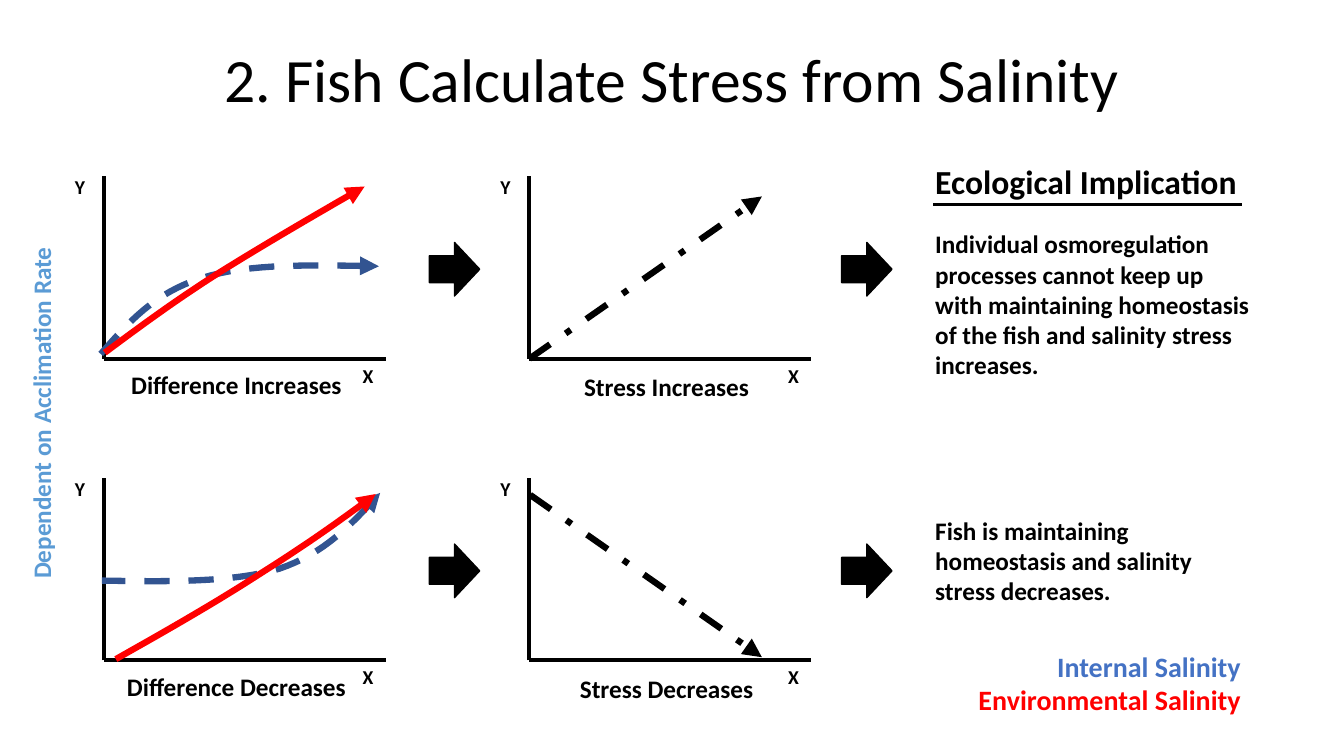
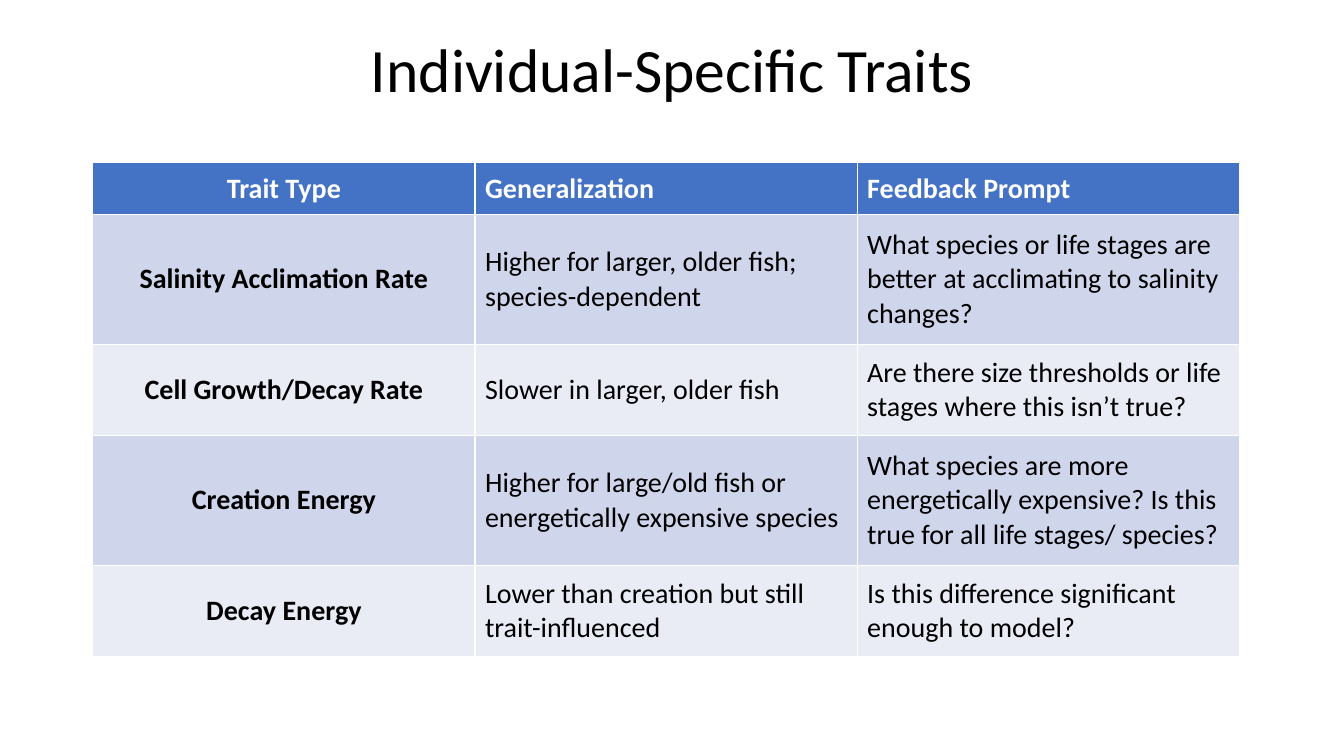
from lxml import etree
from pptx import Presentation
from pptx.dml.color import RGBColor
from pptx.enum.dml import MSO_LINE
from pptx.enum.shapes import MSO_CONNECTOR, MSO_SHAPE
from pptx.enum.text import MSO_ANCHOR, PP_ALIGN
from pptx.oxml.ns import qn
from pptx.util import Cm, Pt

BLACK = RGBColor(0x00, 0x00, 0x00)
WHITE = RGBColor(0xFF, 0xFF, 0xFF)
BLUE = RGBColor(0x44, 0x72, 0xC4)
DARK_BLUE = RGBColor(0x32, 0x54, 0x91)
LIGHT_BLUE = RGBColor(0x5B, 0x9B, 0xD5)
RED = RGBColor(0xFF, 0x00, 0x00)
BAND_DARK = RGBColor(0xCF, 0xD5, 0xEA)
BAND_LIGHT = RGBColor(0xE9, 0xEB, 0xF5)

LEFT, CENTER, RIGHT = PP_ALIGN.LEFT, PP_ALIGN.CENTER, PP_ALIGN.RIGHT
MIDDLE = MSO_ANCHOR.MIDDLE
DASH, DASH_DOT = MSO_LINE.DASH, MSO_LINE.DASH_DOT
STRAIGHT = MSO_CONNECTOR.STRAIGHT
RIGHT_ARROW = MSO_SHAPE.RIGHT_ARROW

FONT = "Calibri"
TITLE_ONLY = 5
CURVE_STEPS = 16
COLUMN_X = (2.62, 13.34)
BASELINE_Y = (9.04, 16.64)
CAPTION_X = (0.46, 11.3)
CAPTION_GAP = (0.15, 0.2)
CAPTIONS = (
    ("Difference Increases", "Stress Increases"),
    ("Difference Decreases", "Stress Decreases"),
)
CURVES = (
    (DARK_BLUE, DASH, "a:tailEnd", (
        (2.54, 8.92), (3.23, 8.13), (3.91, 7.37), (5.08, 7.01),
        (6.25, 6.63), (7.9, 6.68), (9.55, 6.71))),
    (RED, None, "a:tailEnd", (
        (2.64, 8.89), (3.53, 8.23), (4.42, 7.57), (5.51, 6.88),
        (6.6, 6.2), (7.9, 5.44), (9.19, 4.7))),
    (DARK_BLUE, DASH, "a:headEnd", (
        (9.58, 12.42), (8.89, 13.18), (8.2, 13.94), (7.04, 14.33),
        (5.87, 14.68), (4.22, 14.66), (2.57, 14.63))),
    (RED, None, "a:headEnd", (
        (9.47, 12.45), (8.59, 13.11), (7.7, 13.74), (6.6, 14.43),
        (5.51, 15.14), (4.22, 15.88), (2.92, 16.61))),
)
TRAITS = (
    ("Trait Type", "Generalization", "Feedback Prompt"),
    ("Salinity Acclimation Rate",
     "Higher for larger, older fish; species-dependent",
     "What species or life stages are better at acclimating to salinity changes?"),
    ("Cell Growth/Decay Rate",
     "Slower in larger, older fish",
     "Are there size thresholds or life stages where this isn’t true?"),
    ("Creation Energy",
     "Higher for large/old fish or energetically expensive species",
     "What species are more energetically expensive? Is this true for all life stages/ species?"),
    ("Decay Energy",
     "Lower than creation but still trait-influenced",
     "Is this difference significant enough to model?"),
)
ROW_HEIGHTS = (1.3, 3.28, 2.29, 3.28, 2.29)
COLUMN_WIDTH = 9.63


def format_paragraph(p, size, color=BLACK, bold=True, align=LEFT):
    p.alignment = align
    for r in p.runs:
        r.font.name = FONT
        r.font.size = Pt(size)
        r.font.bold = bold
        r.font.color.rgb = color


def add_titled_slide(prs, title, top):
    s = prs.slides.add_slide(prs.slide_layouts[TITLE_ONLY])
    sp = s.shapes.title
    sp.left, sp.top, sp.width, sp.height = Cm(2.34), Cm(top), Cm(29.21), Cm(3.68)
    tf = sp.text_frame
    tf.text = title
    tf.vertical_anchor = MIDDLE
    tf.paragraphs[0].line_spacing = 0.9
    format_paragraph(tf.paragraphs[0], 44, bold=False, align=CENTER)
    return s


def add_text(s, text, x, y, w, h, size=18, colors=(BLACK,), align=LEFT):
    sp = s.shapes.add_textbox(Cm(x), Cm(y), Cm(w), Cm(h))
    tf = sp.text_frame
    tf.text = text
    tf.word_wrap = True
    for p, color in zip(tf.paragraphs, colors):
        format_paragraph(p, size, color, align=align)
    return sp


def style_line(line, color, width, dash=None, arrow_end=None):
    line.color.rgb = color
    line.width = Pt(width)
    if dash is not None:
        line.dash_style = dash
    if arrow_end:
        etree.SubElement(line._get_or_add_ln(), qn(arrow_end), type="triangle")


def add_line(s, x1, y1, x2, y2, width, dash=None, arrow_end=None):
    cxn = s.shapes.add_connector(STRAIGHT, Cm(x1), Cm(y1), Cm(x2), Cm(y2))
    style_line(cxn.line, BLACK, width, dash, arrow_end)
    etree.SubElement(cxn._element.spPr, qn("a:effectLst"))


def bezier_point(controls, t):
    weights = ((1 - t) ** 3, 3 * t * (1 - t) ** 2, 3 * t ** 2 * (1 - t), t ** 3)
    return tuple(
        Cm(sum(w * c[axis] for w, c in zip(weights, controls))) for axis in (0, 1)
    )


def add_curve(s, color, dash, arrow_end, controls):
    points = [
        bezier_point(controls[start:start + 4], step / CURVE_STEPS)
        for start in range(0, len(controls) - 1, 3)
        for step in range(1, CURVE_STEPS + 1)
    ]
    x, y = controls[0]
    builder = s.shapes.build_freeform(Cm(x), Cm(y))
    builder.add_line_segments(points, close=False)
    sp = builder.convert_to_shape()
    sp.fill.background()
    sp.shadow.inherit = False
    style_line(sp.line, color, 4.5, dash, arrow_end)


def add_axes(s, x, base):
    add_line(s, x, base, x, base - 4.6, 3)
    add_line(s, x, base, x + 7.11, base, 3)
    add_text(s, "X", x + 6.27, base, 1.65, 1.14, 14)
    add_text(s, "Y", x - 0.98, base - 4.75, 1.65, 1.14, 14)


def add_block_arrow(s, x, y):
    sp = s.shapes.add_shape(RIGHT_ARROW, Cm(x), Cm(y), Cm(1.27), Cm(1.35))
    sp.fill.solid()
    sp.fill.fore_color.rgb = BLACK
    sp.shadow.inherit = False
    style_line(sp.line, BLACK, 1)


def add_trait_table(s):
    table = s.shapes.add_table(
        len(TRAITS), len(TRAITS[0]), Cm(2.34), Cm(4.1),
        Cm(COLUMN_WIDTH * len(TRAITS[0])), Cm(sum(ROW_HEIGHTS)),
    ).table
    for column in table.columns:
        column.width = Cm(COLUMN_WIDTH)
    for i, (row, height) in enumerate(zip(TRAITS, ROW_HEIGHTS)):
        table.rows[i].height = Cm(height)
        header = i == 0
        fill = BLUE if header else (BAND_LIGHT, BAND_DARK)[i % 2]
        for j, text in enumerate(row):
            cell = table.cell(i, j)
            cell.text = text
            cell.vertical_anchor = MIDDLE
            cell.fill.solid()
            cell.fill.fore_color.rgb = fill
            format_paragraph(
                cell.text_frame.paragraphs[0], 20, WHITE if header else BLACK,
                bold=header or j == 0, align=CENTER if j == 0 else LEFT,
            )


def build_stress_slide(prs):
    s = add_titled_slide(prs, "2. Fish Calculate Stress from Salinity", 0.25)
    for base, captions in zip(BASELINE_Y, CAPTIONS):
        for x, left, gap, caption in zip(COLUMN_X, CAPTION_X, CAPTION_GAP, captions):
            add_axes(s, x, base)
            add_text(s, caption, left, base + gap, 11, 1.02, align=CENTER)
        for x in (10.82, 21.21):
            add_block_arrow(s, x, base - 2.93)
    add_line(s, 13.34, 9.04, 19.2, 4.95, 4.5, DASH_DOT, "a:tailEnd")
    add_line(s, 13.36, 12.47, 19.2, 16.56, 4.5, DASH_DOT, "a:tailEnd")
    for curve in CURVES:
        add_curve(s, *curve)

    add_text(s, "Ecological Implication", 23.32, 3.94, 9, 1.27, 24)
    add_line(s, 23.52, 5.16, 31.29, 5.16, 2.25)
    add_text(s, "Individual osmoregulation processes cannot keep up with maintaining "
             "homeostasis of the fish and salinity stress increases.",
             23.32, 5.64, 8.56, 4.11)
    add_text(s, "Fish is maintaining homeostasis and salinity stress decreases.",
             23.32, 12.85, 8.56, 2.57)
    add_text(s, "Internal Salinity\nEnvironmental Salinity", 22.86, 16.23, 8.66, 1.96,
             20, (BLUE, RED), RIGHT)
    sp = add_text(s, "Dependent on Acclimation Rate", -4.46, 9.9, 11, 1.02,
                  colors=(LIGHT_BLUE,), align=CENTER)
    sp.rotation = 270


def build_traits_slide(prs):
    s = add_titled_slide(prs, "Individual-Specific Traits", 0)
    add_trait_table(s)


def main():
    prs = Presentation()
    prs.slide_width, prs.slide_height = Cm(33.87), Cm(19.05)
    build_stress_slide(prs)
    build_traits_slide(prs)
    prs.save("out.pptx")


if __name__ == "__main__":
    main()
